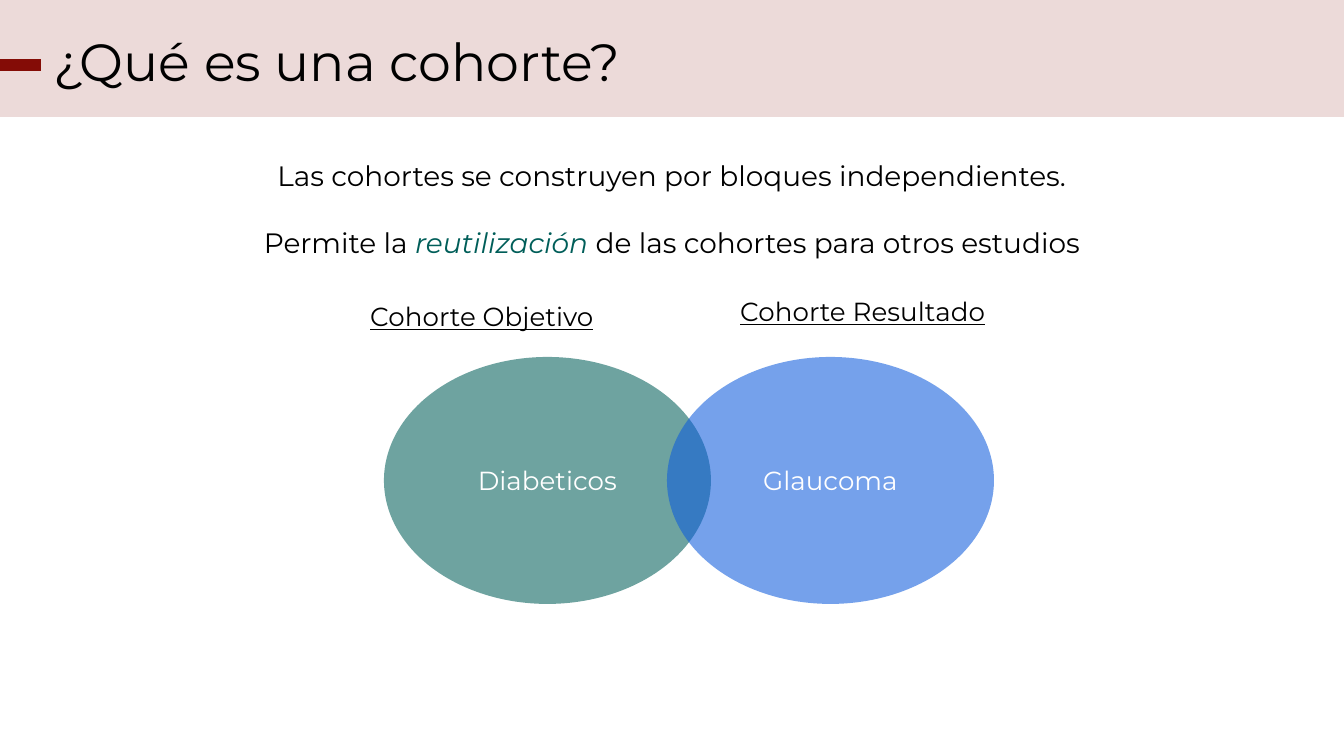
from lxml.etree import SubElement
from pptx import Presentation
from pptx.dml.color import RGBColor
from pptx.enum.shapes import MSO_CONNECTOR, MSO_SHAPE
from pptx.enum.text import MSO_ANCHOR, PP_ALIGN
from pptx.oxml.ns import qn
from pptx.util import Emu, Pt

EMU_PER_PX = 914400 / 134.4
FONT = "Montserrat"
BLACK = "000000"
WHITE = "FFFFFF"
RED = "840C06"
GREEN = "005E59"
BLUE = "0D5BDC"


def px(length):
    return Emu(round(length * EMU_PER_PX))


def color(hex_string):
    return RGBColor.from_string(hex_string)


def format_run(run, size, hex_string=BLACK, italic=False, underline=False):
    run.font.name = FONT
    run.font.size = Pt(size)
    run.font.color.rgb = color(hex_string)
    run.font.italic = italic
    run.font.underline = underline


def add_shape(slide, preset, box, hex_string, opacity):
    shape = slide.shapes.add_shape(preset, *map(px, box))
    shape.shadow.inherit = False
    shape.fill.solid()
    shape.fill.fore_color.rgb = color(hex_string)
    shape.line.fill.background()
    color_element = shape.fill._xPr.find(qn("a:solidFill"))[0]
    SubElement(color_element, qn("a:alpha"), val=str(opacity * 1000))
    return shape


def add_text(slide, box, text, size, underline=False):
    text_frame = slide.shapes.add_textbox(*map(px, box)).text_frame
    text_frame.word_wrap = True
    text_frame.text = text
    format_run(text_frame.paragraphs[0].runs[0], size, underline=underline)
    return text_frame


def add_title(slide, text):
    text_frame = add_text(slide, (40, 23, 1253, 85), text, 28)
    text_frame.margin_top = text_frame.margin_bottom = px(13)
    text_frame.paragraphs[0].line_spacing = 0.9


def add_dash(slide):
    dash = slide.shapes.add_connector(
        MSO_CONNECTOR.STRAIGHT, px(41), px(65), px(-17), px(65)
    )
    dash.line.color.rgb = color(RED)
    dash.line.width = Pt(6)
    SubElement(dash._element.spPr, qn("a:effectLst"))


def add_explanation(slide):
    text_frame = add_text(
        slide,
        (67, 152, 1210, 149),
        "Las cohortes se construyen por bloques independientes.",
        15,
    )
    text_frame.paragraphs[0].space_after = Pt(18)
    reuse = text_frame.add_paragraph()
    for text, hex_string, italic in (
        ("Permite la ", BLACK, False),
        ("reutilización", GREEN, True),
        (" de las cohortes para otros estudios", BLACK, False),
    ):
        run = reuse.add_run()
        run.text = text
        format_run(run, 15, hex_string, italic)
    for paragraph in text_frame.paragraphs:
        paragraph.alignment = PP_ALIGN.CENTER


def add_cohort(slide, left, name, hex_string):
    ellipse = add_shape(
        slide, MSO_SHAPE.OVAL, (left, 357, 327, 247), hex_string, 57
    )
    text_frame = ellipse.text_frame
    text_frame.vertical_anchor = MSO_ANCHOR.MIDDLE
    text_frame.text = name
    paragraph = text_frame.paragraphs[0]
    paragraph.alignment = PP_ALIGN.CENTER
    format_run(paragraph.runs[0], 14, WHITE)


def main():
    presentation = Presentation()
    presentation.slide_width = px(1344)
    presentation.slide_height = px(756)
    slide = presentation.slides.add_slide(presentation.slide_layouts[6])

    add_shape(slide, MSO_SHAPE.RECTANGLE, (-5, 0, 1349, 117), RED, 15)
    add_title(slide, "¿Qué es una cohorte?")
    add_dash(slide)
    add_explanation(slide)
    add_cohort(slide, 384, "Diabeticos", GREEN)
    add_cohort(slide, 667, "Glaucoma", BLUE)
    add_text(slide, (357, 294, 277, 46), "Cohorte Objetivo", 14, underline=True)
    add_text(slide, (727, 289, 277, 46), "Cohorte Resultado", 14, underline=True)

    presentation.save("out.pptx")


if __name__ == "__main__":
    main()
